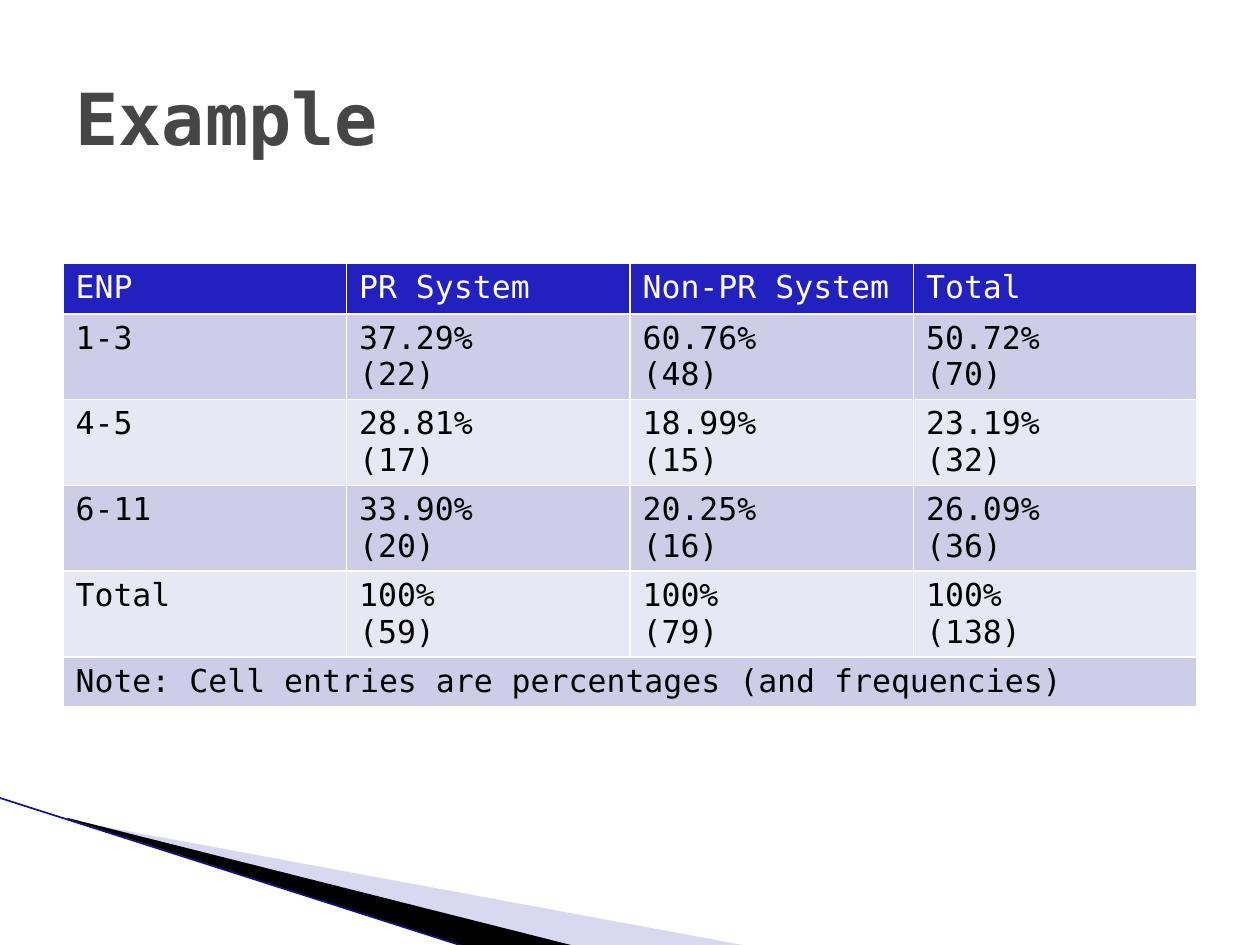
from lxml import etree
from pptx import Presentation
from pptx.dml.color import RGBColor
from pptx.enum.shapes import MSO_CONNECTOR as Conn
from pptx.enum.text import MSO_ANCHOR as Anchor, MSO_AUTO_SIZE as AutoSize, PP_ALIGN as Align
from pptx.oxml.ns import qn
from pptx.util import Inches, Pt

FONT = "DejaVu Sans Mono"
WHITE = RGBColor(0xFF, 0xFF, 0xFF)
BLACK = RGBColor(0, 0, 0)
GREY = RGBColor(0x46, 0x46, 0x46)
HEADER = RGBColor(0x22, 0x21, 0xBF)
BANDS = RGBColor(0xCD, 0xCD, 0xE8), RGBColor(0xE8, 0xE8, 0xF4)
LILAC = RGBColor(0x9F, 0x9F, 0xDC)
NAVY = RGBColor(0x10, 0x10, 0x88)

WIDTH, HEIGHT = 10, 7.5
MARGIN = WIDTH * 0.05
TABLE_TOP = 2.09
ROW_H = 0.4

ROWS = [
    ["ENP", "PR System", "Non-PR System", "Total"],
    ["1-3", "37.29%\n(22)", "60.76%\n(48)", "50.72%\n(70)"],
    ["4-5", "28.81%\n(17)", "18.99%\n(15)", "23.19%\n(32)"],
    ["6-11", "33.90%\n(20)", "20.25%\n(16)", "26.09%\n(36)"],
    ["Total", "100%\n(59)", "100%\n(79)", "100%\n(138)"],
    ["Note: Cell entries are percentages (and frequencies)"],
]


def format_text(tf, size, color, bold=False):
    for p in tf.paragraphs:
        p.alignment = Align.LEFT
        for r in p.runs:
            r.font.name, r.font.size, r.font.bold = FONT, Pt(size), bold
            r.font.color.rgb = color


def add_wedge(slide, points, color, opacity=100):
    start, *rest = [(Inches(x), Inches(y)) for x, y in points]
    builder = slide.shapes.build_freeform(*start)
    builder.add_line_segments(rest, close=True)
    sp = builder.convert_to_shape()
    sp.shadow.inherit = False
    sp.fill.solid()
    sp.fill.fore_color.rgb = color
    sp.line.fill.background()
    if opacity < 100:
        clr = sp.fill._xPr.find(qn("a:solidFill"))[0]
        etree.SubElement(clr, qn("a:alpha"), val=str(opacity * 1000))


def add_line(slide, start, end, color, width):
    line = slide.shapes.add_connector(
        Conn.STRAIGHT, *(Inches(v) for v in (*start, *end)))
    line.line.color.rgb = color
    line.line.width = Pt(width)
    etree.SubElement(line._element.spPr, qn("a:effectLst"))


def set_title(slide, text):
    title = slide.shapes.title
    title.left, title.top = Inches(MARGIN), Inches(HEIGHT * 0.04)
    title.width, title.height = Inches(WIDTH - 2 * MARGIN), Inches(1.25)
    tf = title.text_frame
    tf.text = text
    tf.word_wrap = True
    tf.auto_size = AutoSize.NONE
    tf.vertical_anchor = Anchor.MIDDLE
    format_text(tf, 41, GREY, bold=True)


def set_borders(cell, color, width):
    tc_pr = cell._tc.get_or_add_tcPr()
    for i, side in enumerate(("lnL", "lnR", "lnT", "lnB")):
        ln = etree.Element(qn(f"a:{side}"), w=str(Pt(width)))
        fill = etree.SubElement(ln, qn("a:solidFill"))
        etree.SubElement(fill, qn("a:srgbClr"), val=str(color))
        tc_pr.insert(i, ln)


def add_grid(slide, rows, top):
    cols = len(rows[0])
    table = slide.shapes.add_table(
        len(rows), cols, Inches(MARGIN), Inches(top),
        Inches(WIDTH - 2 * MARGIN), Inches(ROW_H * len(rows))).table
    for i, texts in enumerate(rows):
        color = BANDS[(i - 1) % 2] if i else HEADER
        for j in range(cols):
            cell = table.cell(i, j)
            cell.fill.solid()
            cell.fill.fore_color.rgb = color
            set_borders(cell, WHITE, 1)
        for j, text in enumerate(texts):
            tf = table.cell(i, j).text_frame
            tf.text = text
            format_text(tf, 18, BLACK if i else WHITE)
    # The note spans the whole last row
    last = len(rows) - 1
    table.cell(last, 0).merge(table.cell(last, cols - 1))


def main():
    prs = Presentation()
    prs.slide_width, prs.slide_height = Inches(WIDTH), Inches(HEIGHT)
    slide = prs.slides.add_slide(prs.slide_layouts[5])

    # Corner decoration
    add_wedge(slide, [(0.55, 6.51), (5.95, 7.51), (4.56, 7.51), (0.55, 6.5)], LILAC, 40)
    add_wedge(slide, [(0.53, 6.49), (4.57, 7.51), (3.72, 7.52), (0.54, 6.5)], BLACK)
    add_line(slide, (-0.01, 6.33), (3.71, 7.52), NAVY, 0.95)

    # Title and table
    set_title(slide, "Example")
    add_grid(slide, ROWS, TABLE_TOP)

    prs.save("out.pptx")


main()
